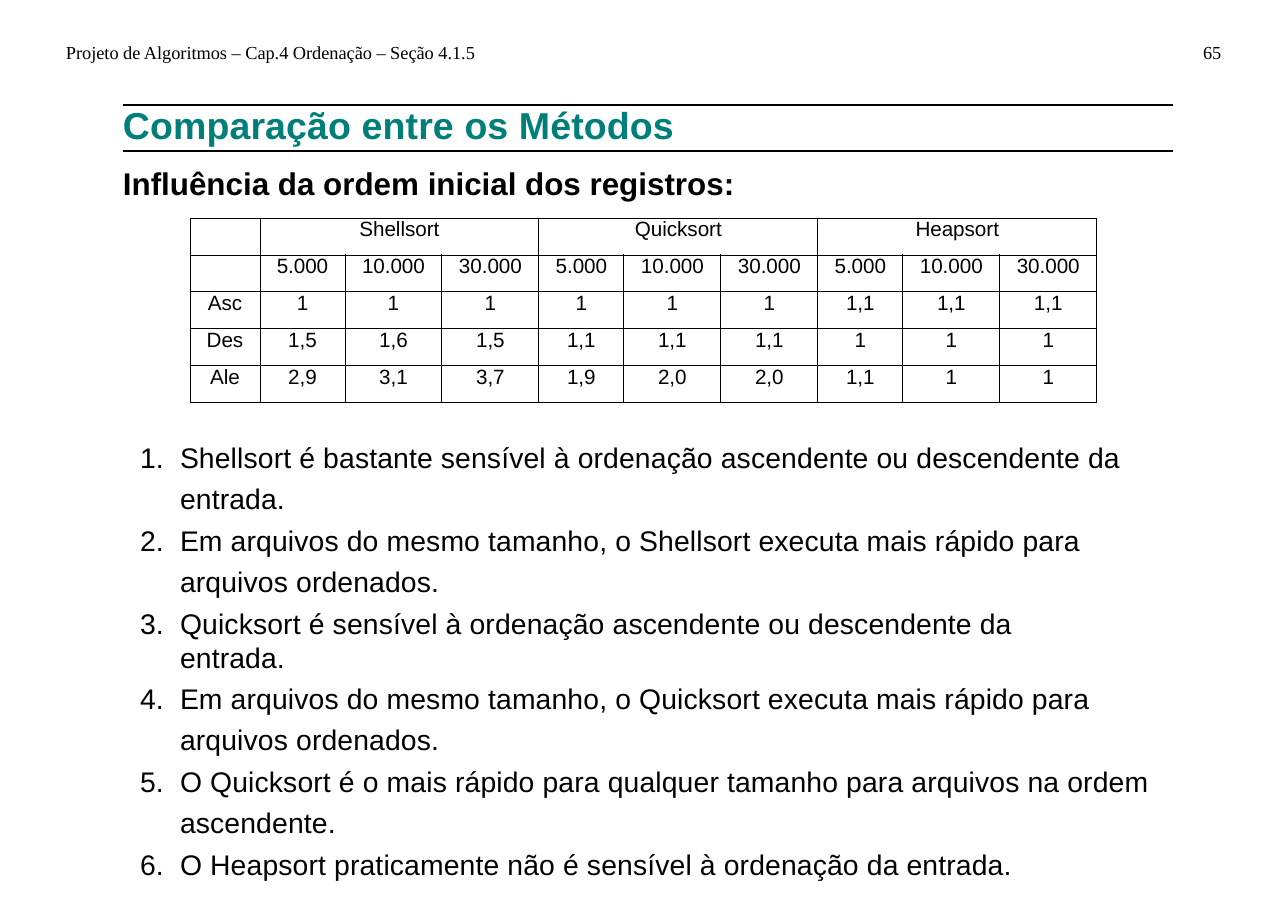
import pptx
import pptx.dml.color
import pptx.enum.shapes
import pptx.enum.text
import pptx.oxml.ns
import pptx.util
from lxml import etree

SLIDE = (1288, 910)
COLORS = {"black": "000000", "teal": "007F7A"}
SANS, SERIF = "Arial", "Times New Roman"

HEADERS = [
    ("Projeto de Algoritmos – Cap.4 Ordenação – Seção 4.1.5", (66, 41, 418, 23)),
    ("65", (1203, 41, 22, 23)),
]
HEADINGS = [
    ("Comparação entre os Métodos", 24.5, "teal", 0, 12),
    ("Influência da ordem inicial dos registros:", 20.5, "black", 11.4, 0),
]
HEADING_BOX = (123, 102, 618, 101)
RULES = {"left": 123, "right": 1173, "tops": (105, 151)}

METHODS = ["Shellsort", "Quicksort", "Heapsort"]
SIZES = ["5.000", "10.000", "30.000"]
RATIOS = [
    ["Asc", "1", "1", "1", "1", "1", "1", "1,1", "1,1", "1,1"],
    ["Des", "1,5", "1,6", "1,5", "1,1", "1,1", "1,1", "1", "1", "1"],
    ["Ale", "2,9", "3,1", "3,7", "1,9", "2,0", "2,0", "1,1", "1", "1"],
]
TABLE_LEFT, TABLE_TOP, ROW_HEIGHT = 190, 218, 37
COLUMN_WIDTHS = [70] + [85, 97, 97] * len(METHODS)

CONCLUSIONS = [
    ("Shellsort é bastante sensível à ordenação ascendente ou descendente da entrada.", 1.21, 0, 0),
    ("Em arquivos do mesmo tamanho, o Shellsort executa mais rápido para arquivos ordenados.", 1.21, 0.4, 0),
    ("Quicksort é sensível à ordenação ascendente ou descendente da entrada.", 1.0, 5, 90),
    ("Em arquivos do mesmo tamanho, o Quicksort executa mais rápido para arquivos ordenados.", 1.21, 0.4, 0),
    ("O Quicksort é o mais rápido para qualquer tamanho para arquivos na ordem ascendente.", 1.21, 0.4, 0),
    ("O Heapsort praticamente não é sensível à ordenação da entrada.", 1.0, 5, 0),
]
CONCLUSIONS_BOX = (139, 433, 1019, 415)
INDENT, HANGING = 41, 40


def px(length):
    return pptx.util.Emu(round(length * 914400 / 110.2))


def format_text(paragraph, size, face=SANS, color="black", bold=False, spacing=0):
    for run in paragraph.runs:
        run.font.size = pptx.util.Pt(size)
        run.font.name = face
        run.font.bold = bold
        run.font.color.rgb = pptx.dml.color.RGBColor.from_string(COLORS[color])
        run._r.get_or_add_rPr().set("spc", str(spacing))


def add_frame(slide, box, lines, wrap=True):
    frame = slide.shapes.add_textbox(*map(px, box)).text_frame
    frame.margin_left = frame.margin_right = frame.margin_top = frame.margin_bottom = 0
    frame.word_wrap = wrap
    frame.text = "\n".join(lines)
    return frame


def add_element(parent, tag, **attributes):
    return etree.SubElement(parent, pptx.oxml.ns.qn(tag), attributes)


def add_headings(slide):
    for header, box in HEADERS:
        frame = add_frame(slide, box, [header], wrap=False)
        format_text(frame.paragraphs[0], 12, SERIF, spacing=-3)
    for top in RULES["tops"]:
        rule = slide.shapes.add_connector(
            pptx.enum.shapes.MSO_CONNECTOR.STRAIGHT,
            px(RULES["left"]), px(top), px(RULES["right"]), px(top))
        rule.line.width = pptx.util.Pt(1.73)
        rule.line.color.rgb = pptx.dml.color.RGBColor.from_string(COLORS["black"])
        add_element(rule._element.spPr, "a:effectLst")
    frame = add_frame(slide, HEADING_BOX, [heading[0] for heading in HEADINGS], wrap=False)
    for paragraph, (_, size, color, before, spacing) in zip(frame.paragraphs, HEADINGS):
        if before:
            paragraph.space_before = pptx.util.Pt(before)
        format_text(paragraph, size, color=color, bold=True, spacing=spacing)


def add_ratios(slide):
    rows = [[""] + [name for method in METHODS for name in (method, "", "")],
            [""] + SIZES * len(METHODS)] + RATIOS
    table = slide.shapes.add_table(
        len(rows), len(COLUMN_WIDTHS), px(TABLE_LEFT), px(TABLE_TOP),
        px(sum(COLUMN_WIDTHS)), px(ROW_HEIGHT * len(rows))).table
    table.first_row = table.horz_banding = False
    for column, width in zip(table.columns, COLUMN_WIDTHS):
        column.width = px(width)
    for r, values in enumerate(rows):
        table.rows[r].height = px(ROW_HEIGHT)
        for c, value in enumerate(values):
            cell = table.cell(r, c)
            cell.margin_left = cell.margin_right = cell.margin_top = cell.margin_bottom = 0
            for side in ("a:lnL", "a:lnR", "a:lnT", "a:lnB"):
                border = add_element(cell._tc.get_or_add_tcPr(), side, w=str(pptx.util.Pt(0.69)))
                add_element(add_element(border, "a:solidFill"), "a:srgbClr", val=COLORS["black"])
            cell.fill.background()
            cell.text = value
            paragraph = cell.text_frame.paragraphs[0]
            paragraph.alignment = pptx.enum.text.PP_ALIGN.CENTER
            format_text(paragraph, 13.5)
    for first in range(1, len(COLUMN_WIDTHS), len(SIZES)):
        table.cell(0, first).merge(table.cell(0, first + len(SIZES) - 1))


def add_conclusions(slide):
    frame = add_frame(slide, CONCLUSIONS_BOX, [conclusion[0] for conclusion in CONCLUSIONS])
    for paragraph, (_, leading, before, right) in zip(frame.paragraphs, CONCLUSIONS):
        properties = paragraph._p.get_or_add_pPr()
        properties.set("marL", str(px(INDENT)))
        properties.set("marR", str(px(right)))
        properties.set("indent", str(px(-HANGING)))
        add_element(properties, "a:buFont", typeface=SANS)
        add_element(properties, "a:buAutoNum", type="arabicPeriod")
        add_element(add_element(properties, "a:tabLst"), "a:tab", pos=str(px(INDENT)), algn="l")
        paragraph.line_spacing = leading
        if before:
            paragraph.space_before = pptx.util.Pt(before)
        format_text(paragraph, 18.5, spacing=10)


def main():
    deck = pptx.Presentation()
    deck.slide_width, deck.slide_height = map(px, SLIDE)
    slide = deck.slides.add_slide(deck.slide_layouts[6])
    add_headings(slide)
    add_conclusions(slide)
    add_ratios(slide)
    deck.save("out.pptx")


if __name__ == "__main__":
    main()
